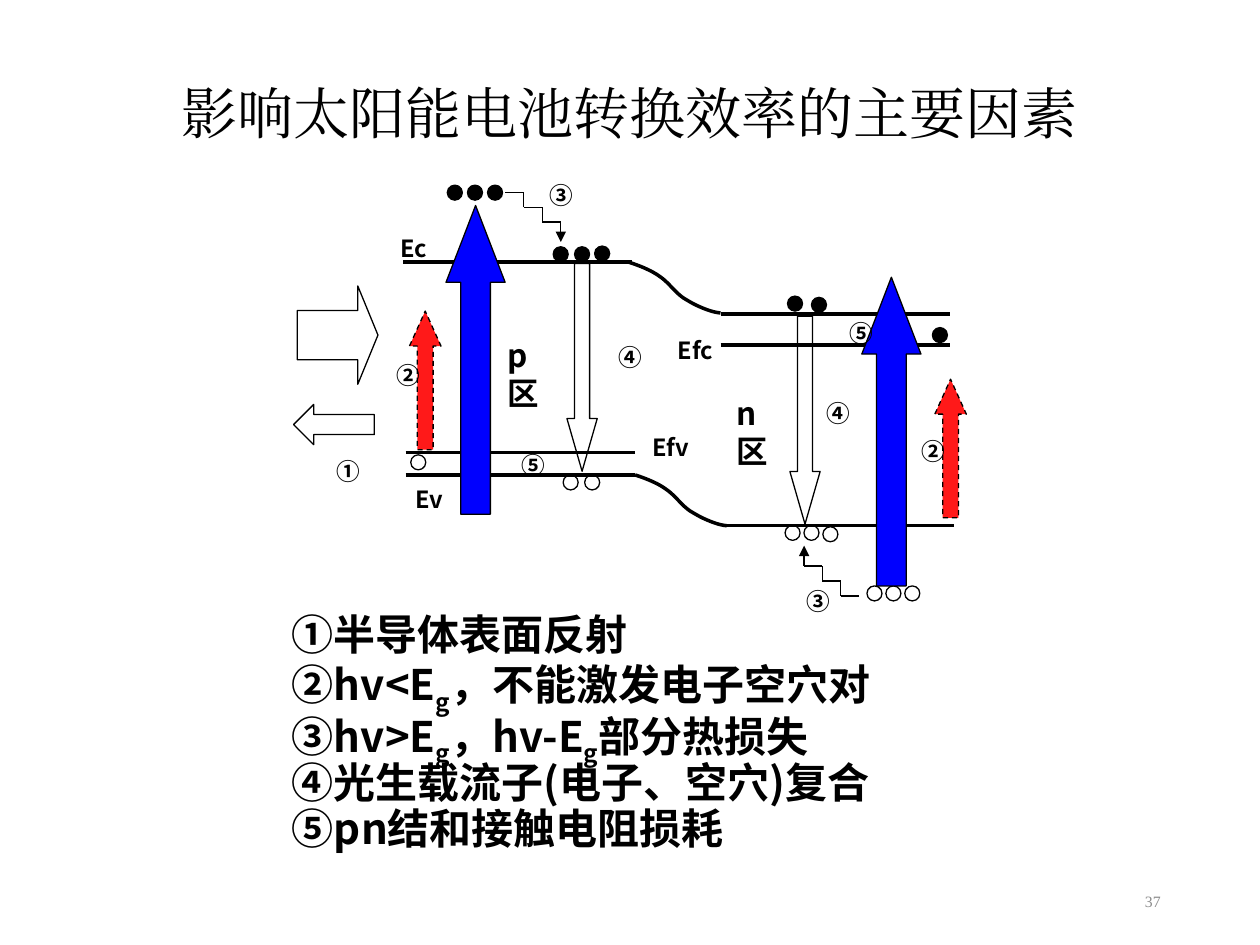
from lxml.etree import SubElement
from pptx import Presentation
from pptx.dml.color import RGBColor
from pptx.enum.dml import MSO_LINE
from pptx.enum.shapes import MSO_CONNECTOR, MSO_SHAPE as Shape
from pptx.enum.text import MSO_ANCHOR as Anchor, MSO_AUTO_SIZE as AutoSize, PP_ALIGN as Align
from pptx.oxml.ns import qn
from pptx.util import Pt

BLACK = RGBColor(0, 0, 0)
WHITE = RGBColor(255, 255, 255)
BLUE = RGBColor(0, 0, 255)
RED = RGBColor(255, 0, 0)
GRAY = RGBColor(0x8C, 0x8C, 0x8C)
SANS, SERIF = "Noto Sans CJK SC", "Times New Roman"

THIN, THICK = 0.75, 2
DOT = 8.6
LEVEL_WIDTH = 131
LABEL_FONT = {"size": Pt(13.5), "bold": True}
REGION_FONT = {"size": Pt(18), "bold": True}
BODY_FONT = {"size": Pt(24), "bold": True}

# Starts of the energy levels, p side then n side
LEVELS = [(230.4, 149.8), (231.8, 271.4), (231.8, 258.5),
          (411.8, 179.3), (414, 300.2), (411.8, 197.3)]
ELECTRONS = [(255.6, 105.8), (267.1, 105.8), (278.6, 105.8),
             (316.1, 141), (328.3, 141), (339.8, 140.6),
             (450, 169.2), (463.7, 169.9), (532.8, 187.2)]
HOLES = [(234.7, 259.9), (321.8, 271.4), (334.1, 271.4),
         (448.6, 300.2), (459.4, 300.2), (470.2, 301),
         (495.4, 334.8), (506.2, 334.8), (517, 334.8)]
# Cubic Bezier points of the band bend, relative to its start
BEND = [(0, 0), (6, 2), (12.2, 4.3), (17.3, 7.9), (23, 11.5),
        (27.4, 18.7), (33.1, 21.6), (38.9, 25.2), (47.5, 28.8), (52.4, 29)]
LABELS = [("①", 185, 257.8, 28), ("②", 219.6, 203, 28), ("④", 346.3, 192.2, 28),
          ("②", 519.8, 246.2, 28), ("③", 453.6, 331.9, 28), ("⑤", 290.9, 254.2, 28),
          ("⑤", 478.1, 178.6, 28), ("③", 306.7, 100.1, 28), ("④", 465.1, 224.6, 28),
          ("Ec", 221.8, 130.3, 29.5), ("Ev", 230.4, 273.6, 30.2),
          ("Efv", 365.8, 244.1, 36), ("Efc", 380.2, 188.6, 35.3)]
REGIONS = [("p区", 283, 188.6), ("n区", 414, 221.8)]
# Each paragraph alternates normal and subscript text
FACTORS = [["①半导体表面反射"],
           ["②hv<E", "g", "，不能激发电子空穴对"],
           ["③hv>E", "g", "，hv-E", "g", "部分热损失"],
           ["④光生载流子(电子、空穴)复合"],
           ["⑤pn结和接触电阻损耗"]]


def set_values(target, values):
    for name, value in values.items():
        setattr(target, name, value)


def add_span(para, text, values, face=SANS, color=BLACK, subscript=False):
    span = para.add_run()
    span.text = text
    set_values(span.font, {"name": face, **values})
    span.font.color.rgb = color
    properties = span.font._element
    SubElement(properties, qn("a:ea")).set("typeface", face)
    if subscript:
        properties.set("baseline", "-25000")


def add_box(slide, left, top, width, height, wrap=True):
    box = slide.shapes.add_textbox(Pt(left), Pt(top), Pt(width), Pt(height))
    box.text_frame.word_wrap = wrap
    return box.text_frame


def style_line(shape, weight):
    shape.line.color.rgb = BLACK
    shape.line.width = Pt(weight)


def add_line(slide, start, end, weight, arrow=False):
    line = slide.shapes.add_connector(MSO_CONNECTOR.STRAIGHT, *map(Pt, start + end))
    style_line(line, weight)
    SubElement(line._element.spPr, qn("a:effectLst"))
    if arrow:
        SubElement(line.line._get_or_add_ln(), qn("a:tailEnd")).set("type", "triangle")


def add_figure(slide, kind, left, top, width, height, fill=None, adjust=()):
    figure = slide.shapes.add_shape(kind, Pt(left), Pt(top), Pt(width), Pt(height))
    figure.shadow.inherit = False
    for index, value in enumerate(adjust):
        figure.adjustments[index] = value
    if fill is None:
        figure.fill.background()
    else:
        figure.fill.solid()
        figure.fill.fore_color.rgb = fill
    style_line(figure, THIN)
    return figure


def add_red_arrow(slide, left, top):
    arrow = add_figure(slide, Shape.UP_ARROW, left, top, 18, 79.2, RED, (0.5, 1.11))
    arrow.line.dash_style = MSO_LINE.DASH
    color = arrow._element.spPr.find(qn("a:solidFill")).find(qn("a:srgbClr"))
    SubElement(color, qn("a:alpha")).set("val", "90000")


def add_stairs(slide, x, y, run, rise, last):
    """Three steps; the last drop carries the arrowhead."""
    for drop in (rise, rise, last):
        corner, foot = (x + run, y), (x + run, y + drop)
        add_line(slide, (x, y), corner, THIN)
        add_line(slide, corner, foot, THIN, arrow=drop == last)
        x, y = foot


def bend_points(left, top, steps=10):
    for first in range(0, len(BEND) - 1, 3):
        curve = BEND[first:first + 4]
        for step in range(1, steps + 1):
            t = step / steps
            weights = ((1 - t) ** 3, 3 * t * (1 - t) ** 2, 3 * t ** 2 * (1 - t), t ** 3)
            x, y = (sum(w * point[axis] for w, point in zip(weights, curve)) for axis in (0, 1))
            yield Pt(left + x), Pt(top + y)


def add_bend(slide, left, top):
    builder = slide.shapes.build_freeform(Pt(left), Pt(top))
    builder.add_line_segments(list(bend_points(left, top)), close=False)
    bend = builder.convert_to_shape()
    bend.shadow.inherit = False
    bend.fill.background()
    style_line(bend, THICK)


def add_title(slide):
    title = slide.shapes.title
    set_values(title, {"left": Pt(36), "top": Pt(21.6), "width": Pt(648), "height": Pt(90)})
    set_values(title.text_frame, {"auto_size": AutoSize.NONE, "vertical_anchor": Anchor.MIDDLE})
    para = title.text_frame.paragraphs[0]
    set_values(para, {"alignment": Align.CENTER, "line_spacing": 0.9})
    add_span(para, "影响太阳能电池转换效率的主要因素", {"size": Pt(32)}, SERIF)


def add_factors(slide):
    frame = add_box(slide, 159.8, 350, 400.3, 160.6)
    for index, parts in enumerate(FACTORS):
        para = frame.add_paragraph() if index else frame.paragraphs[0]
        set_values(para, {"line_spacing": 0.8, "space_before": Pt(3 if index else 0)})
        for order, text in enumerate(parts):
            add_span(para, text, BODY_FONT, subscript=order % 2 == 1)


def add_diagram(slide):
    # Energy bands
    for x, y in LEVELS:
        add_line(slide, (x, y), (x + LEVEL_WIDTH, y), THICK)
    for left, top in ((359.3, 149.8), (362.9, 271.4)):
        add_bend(slide, left, top)
    # Heat loss steps
    add_stairs(slide, 288.7, 110, 10.6, 8.4, 11.5)
    add_stairs(slide, 491, 340.6, -10.5, -8.6, -11.6)
    # Carriers
    for dots, fill in ((ELECTRONS, BLACK), (HOLES, None)):
        for left, top in dots:
            add_figure(slide, Shape.OVAL, left, top, DOT, DOT, fill)
    # Incoming and reflected light
    add_figure(slide, Shape.RIGHT_ARROW, 169.9, 163.4, 46.1, 56.2, None, (0.5, 0.25))
    add_figure(slide, Shape.LEFT_ARROW, 167.8, 231.1, 46.1, 23, WHITE, (0.5, 0.5))
    # Excitation and recombination
    for left, top in ((254.9, 117.4), (492.5, 158.4)):
        add_figure(slide, Shape.UP_ARROW, left, top, 33.8, 176.4, BLUE, (0.5, 1.3))
    for left, top in ((234, 177.8), (534.2, 216.7)):
        add_red_arrow(slide, left, top)
    for left, top in ((324, 150.5), (451.4, 180.7)):
        add_figure(slide, Shape.DOWN_ARROW, left, top, 17.3, 118.8, None, (0.5, 1.74))
    # Labels
    for text, left, top, width in LABELS:
        frame = add_box(slide, left, top, width, 23.8, wrap=False)
        add_span(frame.paragraphs[0], text, LABEL_FONT)
    for text, left, top in REGIONS:
        add_span(add_box(slide, left, top, 36, 50).paragraphs[0], text, REGION_FONT)


def add_page_number(slide):
    frame = add_box(slide, 508.3, 500.4, 162, 28.8)
    frame.vertical_anchor = Anchor.MIDDLE
    para = frame.paragraphs[0]
    para.alignment = Align.RIGHT
    add_span(para, "37", {"size": Pt(9)}, SERIF, GRAY)


def main():
    deck = Presentation()
    set_values(deck, {"slide_width": Pt(720), "slide_height": Pt(540)})
    page = deck.slides.add_slide(deck.slide_layouts[5])
    add_title(page)
    add_factors(page)
    add_page_number(page)
    add_diagram(page)
    deck.save("out.pptx")


if __name__ == "__main__":
    main()
